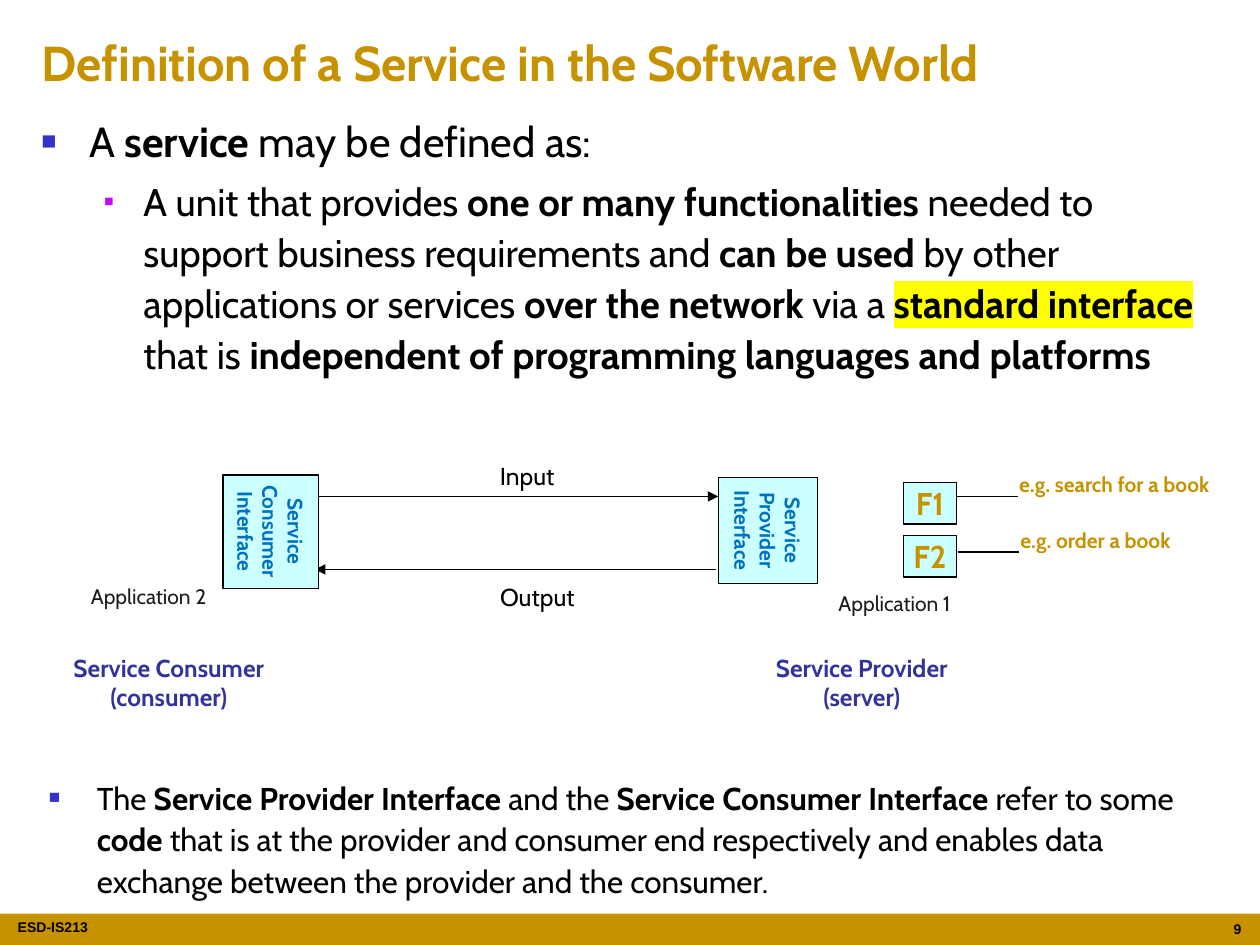
import pptx
import pptx.util
import pptx.dml.color
import pptx.enum.shapes
import pptx.enum.text
import pptx.oxml
import pptx.oxml.ns
import lxml.etree

Inches, Pt = pptx.util.Inches, pptx.util.Pt
ALIGN = pptx.enum.text.PP_ALIGN
MIDDLE = pptx.enum.text.MSO_ANCHOR.MIDDLE
RECT = pptx.enum.shapes.MSO_SHAPE.RECTANGLE
STRAIGHT = pptx.enum.shapes.MSO_CONNECTOR.STRAIGHT
qn = pptx.oxml.ns.qn

GOLD, BLACK, BLUE, PURPLE = "C69200", "000000", "3333CC", "CC00FF"
NAVY, SKY, CYAN, DARK, YELLOW = "333399", "0070C0", "CCFFFF", "1C1C1C", "FFFF00"

TITLE = "Definition of a Service in the Software World"
DEFINITION = [
    dict(size=24, level=0, indent=0.38, hang=0.38, bullet=BLUE, scale=60, runs=[
        ("A ", ""), ("service", "b"), (" may be defined as:", "")]),
    dict(size=22, level=1, indent=0.81, hang=0.31, bullet=PURPLE, scale=40, runs=[
        ("A unit that provides ", ""), ("one or many functionalities ", "b"),
        ("needed to support business requirements and ", ""), ("can be used", "b"),
        (" by other applications or services ", ""), ("over the network", "b"),
        (" via a ", ""), ("standard interface ", "bh"), ("that is ", ""),
        ("independent of programming languages and platforms", "b")]),
]
EXPLANATION = [
    dict(size=18, level=0, indent=0.38, hang=0.38, bullet=BLUE, scale=60, runs=[
        ("The ", ""), ("Service Provider Interface", "b"), (" and the ", ""),
        ("Service Consumer Interface ", "b"), ("refer to some ", ""), ("code", "b"),
        (" that is at the provider and consumer end respectively and enables data "
         "exchange between the provider and the consumer.", "")]),
]
INTERFACES = [
    ("Service\nConsumer\nInterface", (1.77, 3.77, 0.76, 0.9)),
    ("Service\nProvider\nInterface", (5.7, 3.79, 0.79, 0.84)),
]
FUNCTIONS = [("F1", (7.17, 3.83, 0.42, 0.33)), ("F2", (7.17, 4.25, 0.42, 0.33))]
LINES = [
    (2.53, 5.7, 3.94, "tailEnd"),
    (2.5, 5.68, 4.52, "headEnd"),
    (7.58, 8.08, 3.94, None),
    (7.6, 8.09, 4.38, None),
]
LABELS = [
    ("Input", (3.87, 3.61, 0.66, 0.33), 14, BLACK, False, ALIGN.LEFT, False),
    ("Output", (3.87, 4.57, 0.79, 0.33), 14, BLACK, False, ALIGN.LEFT, False),
    ("Service Provider\n(server)", (5.93, 5.13, 1.82, 0.57), 14, NAVY, True, ALIGN.CENTER, False),
    ("Service Consumer\n(consumer)", (0.35, 5.13, 1.98, 0.57), 14, NAVY, True, ALIGN.CENTER, False),
    ("Application 2", (0.57, 4.58, 1.22, 0.33), 12, DARK, False, ALIGN.CENTER, True),
    ("Application 1", (6.5, 4.64, 1.2, 0.33), 12, DARK, False, ALIGN.CENTER, True),
    ("e.g. search for a book", (7.99, 3.69, 2.01, 0.3), 12, GOLD, True, ALIGN.LEFT, True),
    ("e.g. order a book", (8, 4.14, 1.89, 0.3), 12, GOLD, True, ALIGN.LEFT, True),
]


def rgb(color):
    return pptx.dml.color.RGBColor.from_string(color)


def place(at):
    return [Inches(v) for v in at]


def style_font(font, size, color, bold=False, name="Cabin"):
    font.size, font.bold, font.name = Pt(size), bold, name
    font.color.rgb = rgb(color)


def write(tf, text, size, color, bold=False, align=ALIGN.LEFT, wrap=True, name="Cabin"):
    tf.text = text
    tf.word_wrap = wrap
    for p in tf.paragraphs:
        p.alignment = align
        for r in p.runs:
            style_font(r.font, size, color, bold, name)


def add_label(s, text, at, *style, **options):
    sp = s.shapes.add_textbox(*place(at))
    write(sp.text_frame, text, *style, **options)
    return sp


def add_box(s, at, fill, line=None):
    sp = s.shapes.add_shape(RECT, *place(at))
    sp.shadow.inherit = False
    sp.fill.solid()
    sp.fill.fore_color.rgb = rgb(fill)
    if line:
        sp.line.color.rgb = rgb(line)
        sp.line.width = Pt(0.75)
    else:
        sp.line.fill.background()
    return sp


def add_node(s, text, at, size, color, vertical=False):
    sp = add_box(s, at, CYAN, BLACK)
    tf = sp.text_frame
    write(tf, text, size, color, True, ALIGN.CENTER, False)
    tf.vertical_anchor = MIDDLE
    if vertical:
        tf._txBody.bodyPr.set("vert", "vert")


def add_line(s, x1, x2, y, arrow):
    line = s.shapes.add_connector(STRAIGHT, *place((x1, y, x2, y)))
    line.line.color.rgb = rgb(BLACK)
    line.line.width = Pt(0.75)
    if arrow:
        lxml.etree.SubElement(line.line._get_or_add_ln(), qn("a:" + arrow), type="triangle")
    lxml.etree.SubElement(line._element.spPr, qn("a:effectLst"))


def add_bullet(p, item):
    pPr = p._p.get_or_add_pPr()
    pPr.set("marL", str(Inches(item["indent"])))
    pPr.set("indent", str(-Inches(item["hang"])))
    color = lxml.etree.SubElement(pPr, qn("a:buClr"))
    lxml.etree.SubElement(color, qn("a:srgbClr"), val=item["bullet"])
    lxml.etree.SubElement(pPr, qn("a:buSzPct"), val=str(item["scale"] * 1000))
    lxml.etree.SubElement(pPr, qn("a:buFont"), typeface="Arial")
    lxml.etree.SubElement(pPr, qn("a:buChar"), char="■")


def highlight(r, color):
    mark = pptx.oxml.parse_xml(
        f'<a:highlight {pptx.oxml.ns.nsdecls("a")}><a:srgbClr val="{color}"/></a:highlight>')
    r._r.rPr.find(qn("a:latin")).addprevious(mark)


def add_bullets(s, items, at):
    tf = s.shapes.add_textbox(*place(at)).text_frame
    tf.word_wrap = True
    for i, item in enumerate(items):
        p = tf.add_paragraph() if i else tf.paragraphs[0]
        add_bullet(p, item)
        p.level = item["level"]
        p.line_spacing = 1.1
        p.space_before = Pt(0.2 * item["size"] if i else 0)
        for text, marks in item["runs"]:
            r = p.add_run()
            r.text = text
            style_font(r.font, item["size"], BLACK, "b" in marks)
            if "h" in marks:
                highlight(r, YELLOW)


def main():
    prs = pptx.Presentation()
    prs.slide_width, prs.slide_height = Inches(10), Inches(7.5)
    s = prs.slides.add_slide(prs.slide_layouts[5])

    add_box(s, (0, 7.25, 10, 0.25), GOLD)
    footer = add_label(s, "ESD-IS213", (0.14, 7.24, 1.29, 0.25), 8, BLACK, True, name="Arial")
    footer.text_frame.margin_left = footer.text_frame.margin_right = 0
    add_label(s, "9", (9.56, 7.26, 0.39, 0.24), 8, BLACK, True, ALIGN.RIGHT, name="Arial")

    title = s.shapes.title
    title.left, title.top, title.width, title.height = place((0.23, 0.21, 9.54, 0.57))
    write(title.text_frame, TITLE, 28, GOLD, True)
    title.text_frame.vertical_anchor = MIDDLE

    add_bullets(s, DEFINITION, (0.23, 0.83, 9.52, 2.65))
    for line in LINES:
        add_line(s, *line)
    for text, at in INTERFACES:
        add_node(s, text, at, 12, SKY, vertical=True)
    for text, at in FUNCTIONS:
        add_node(s, text, at, 18, GOLD)
    for label in LABELS:
        add_label(s, *label)
    add_bullets(s, EXPLANATION, (0.29, 6.1, 9.52, 0.94))

    prs.save("out.pptx")


if __name__ == "__main__":
    main()
